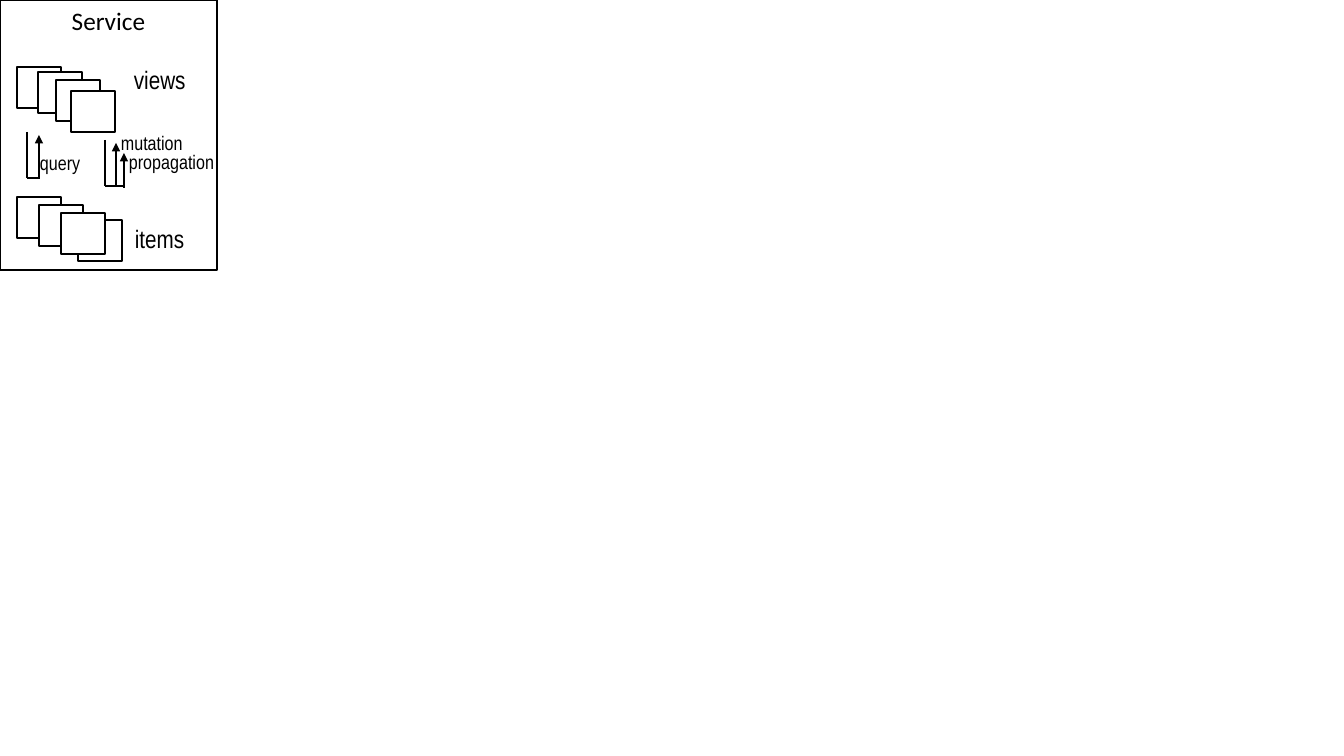
"""Build a slide showing a service with its views, items and the flows between them."""
from lxml import etree
from pptx import Presentation
from pptx.dml.color import RGBColor
from pptx.enum.shapes import MSO_CONNECTOR, MSO_SHAPE
from pptx.enum.text import MSO_ANCHOR, MSO_AUTO_SIZE, PP_ALIGN
from pptx.oxml.ns import qn
from pptx.util import Pt

RECT, LINE = MSO_SHAPE.RECTANGLE, MSO_CONNECTOR.STRAIGHT
TOP, CENTER, GROW = MSO_ANCHOR.TOP, PP_ALIGN.CENTER, MSO_AUTO_SIZE.SHAPE_TO_FIT_TEXT
SCALE = 914400 / 100.8
THEME = {
    "ink": RGBColor(0, 0, 0), "paper": RGBColor(255, 255, 255),
    "head": "Calibri", "body": "Arial Narrow",
    "large": 18, "small": 14, "edge": 1, "flow": 1.5,
}

FRAME = (0, 0, 217, 270)
CARD = (44, 41)
VIEWS = [(17, 67), (38, 72), (56, 80), (71, 91)]
ITEMS = [(17, 197), (39, 205), (78, 220), (61, 213)]
QUERY = {"lines": [(27, 132, 27, 178), (27, 178, 40, 178)],
         "arrows": [(39, 178, 39, 135)]}
SPREAD = {"lines": [(105, 140, 105, 186), (105, 186, 124, 186)],
          "arrows": [(116, 186, 116, 143), (124, 188, 124, 153)]}
LABELS = [
    ("views", (124, 59, 134, 40), "large", True),
    ("items", (125, 218, 134, 40), "large", True),
    ("query", (30, 146, 61, 34), "small", False),
    ("mutation", (111, 126, 83, 34), "small", False),
    ("propagation", (119, 145, 106, 34), "small", False),
]


def emu(*sizes):
    return [round(size * SCALE) for size in sizes]


def write(para, text, font, size):
    run = para.add_run()
    run.text = text
    run.font.name, run.font.size = THEME[font], Pt(THEME[size])
    run.font.color.rgb = THEME["ink"]


def add_box(slide, spot):
    box = slide.shapes.add_shape(RECT, *emu(*spot))
    box.shadow.inherit = False
    box.fill.solid()
    box.fill.fore_color.rgb = THEME["paper"]
    box.line.color.rgb = THEME["ink"]
    box.line.width = Pt(THEME["edge"])
    return box


def add_line(slide, ends, arrow):
    link = slide.shapes.add_connector(LINE, *emu(*ends))
    link.line.color.rgb = THEME["ink"]
    link.line.width = Pt(THEME["flow"])
    props = link._element.spPr
    if arrow:
        etree.SubElement(props.find(qn("a:ln")), qn("a:tailEnd"), type="triangle")
    etree.SubElement(props, qn("a:effectLst"))


def add_label(slide, text, spot, size, wrap):
    frame = slide.shapes.add_textbox(*emu(*spot)).text_frame
    frame.word_wrap, frame.auto_size = wrap, GROW
    write(frame.paragraphs[0], text, "body", size)


deck = Presentation()
deck.slide_width, deck.slide_height = emu(1344, 756)
slide = deck.slides.add_slide(deck.slide_layouts[6])

frame = add_box(slide, FRAME).text_frame
frame.vertical_anchor = TOP
title = frame.paragraphs[0]
title.alignment = CENTER
write(title, "Service", "head", "large")

for spot in VIEWS + ITEMS:
    add_box(slide, spot + CARD)
for flow in (QUERY, SPREAD):
    for kind, paths in flow.items():
        for ends in paths:
            add_line(slide, ends, kind == "arrows")
for label in LABELS:
    add_label(slide, *label)

deck.save("out.pptx")
